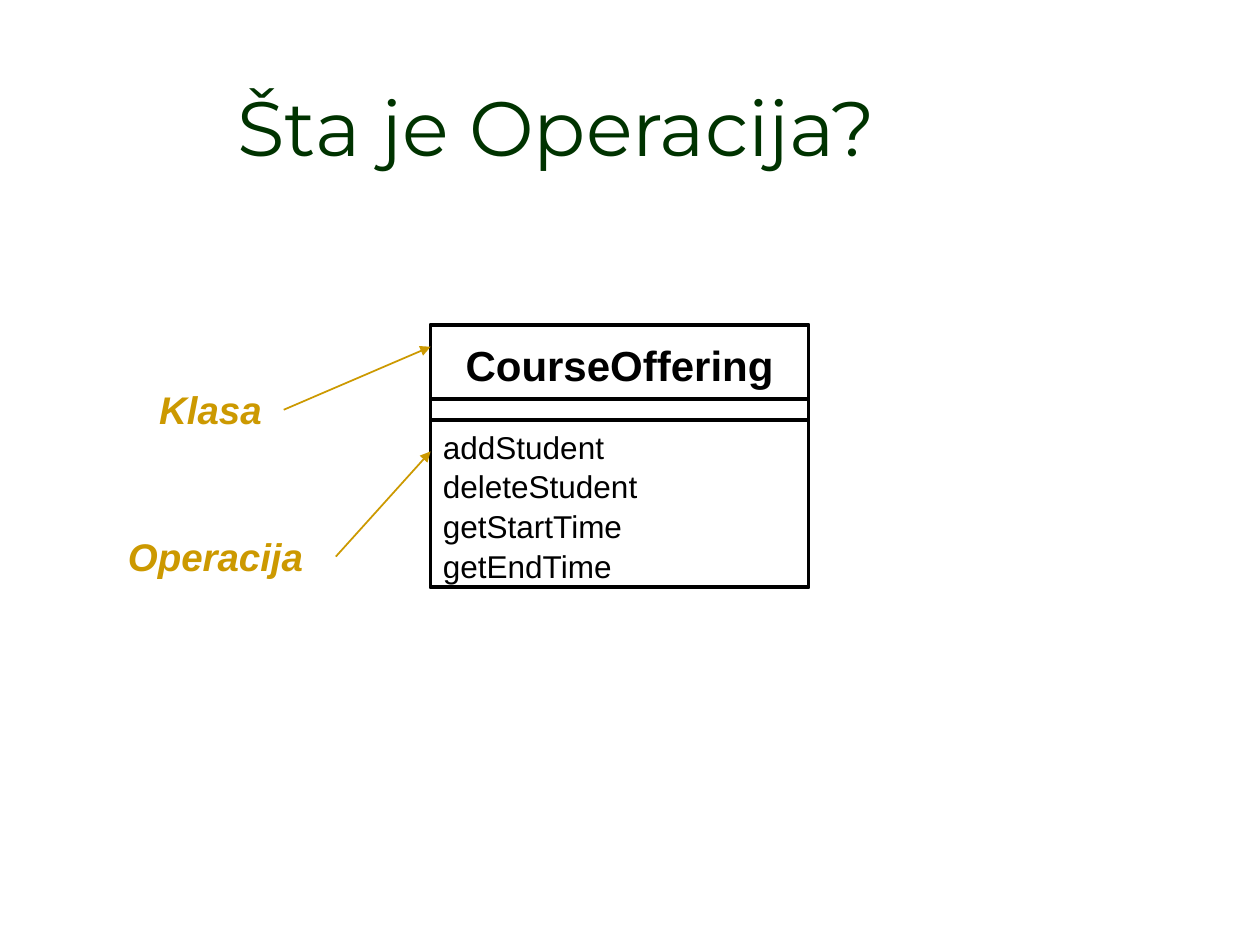
from lxml import etree
from pptx import Presentation
from pptx.dml.color import RGBColor
from pptx.enum.shapes import MSO_CONNECTOR, MSO_SHAPE
from pptx.enum.text import MSO_ANCHOR, PP_ALIGN
from pptx.oxml.ns import qn
from pptx.util import Cm, Pt

BLACK = RGBColor(0x00, 0x00, 0x00)
GREEN = RGBColor(0x00, 0x33, 0x00)
GOLD = RGBColor(0xCC, 0x99, 0x00)

# Content
TITLE = "Šta je Operacija?"
CLASS_NAME = "CourseOffering"
OPERATIONS = ["addStudent", "deleteStudent", "getStartTime", "getEndTime"]
# label, text box (left, top, width, height), arrow start, arrow height at the class
CALLOUTS = [
    ("Klasa", (2.96, 7.62, 2.96, 1.19), (5.72, 8.26), 6.99),
    ("Operacija", (2.33, 10.58, 4.66, 1.19), (6.77, 11.22), 9.1),
]

# Class box, in cm
LEFT, TOP, WIDTH, HEIGHT = 8.68, 6.55, 7.62, 5.29
DIVIDERS = [8.04, 8.46]

prs = Presentation()
prs.slide_width, prs.slide_height = Cm(25.4), Cm(19.05)
s = prs.slides.add_slide(prs.slide_layouts[6])


def add_text(box, lines, size, color, font="Arial", bold=False, italic=False,
             align=PP_ALIGN.LEFT, anchor=MSO_ANCHOR.TOP, spacing=1.05, inset=True):
    tf = s.shapes.add_textbox(*map(Cm, box)).text_frame
    tf.word_wrap = True
    tf.vertical_anchor = anchor
    if not inset:
        tf.margin_left = tf.margin_right = tf.margin_top = tf.margin_bottom = 0
    for i, line in enumerate(lines):
        p = tf.add_paragraph() if i else tf.paragraphs[0]
        p.alignment = align
        p.line_spacing = spacing
        r = p.add_run()
        r.text = line
        r.font.name, r.font.size = font, Pt(size)
        r.font.bold, r.font.italic = bold, italic
        r.font.color.rgb = color


def add_line(start, end, color, width, arrow=False):
    line = s.shapes.add_connector(MSO_CONNECTOR.STRAIGHT, *map(Cm, start + end))
    line.line.color.rgb = color
    line.line.width = Pt(width)
    if arrow:
        etree.SubElement(line.line._get_or_add_ln(), qn("a:tailEnd"), type="triangle")
    etree.SubElement(line._element.spPr, qn("a:effectLst"))


# Class box with its three compartments
sp = s.shapes.add_shape(MSO_SHAPE.RECTANGLE, Cm(LEFT), Cm(TOP), Cm(WIDTH), Cm(HEIGHT))
sp.shadow.inherit = False
sp.fill.background()
sp.line.color.rgb = BLACK
sp.line.width = Pt(2.25)
add_text((LEFT, 6.8, WIDTH, 1.02), [CLASS_NAME], 24, BLACK, bold=True,
         align=PP_ALIGN.CENTER, inset=False)
for y in DIVIDERS:
    add_line((LEFT, y), (LEFT + WIDTH, y), BLACK, 2.25)
add_text((LEFT, DIVIDERS[-1], 7.42, 4.06), OPERATIONS, 18, BLACK)

# Labels with arrows to the class box
for label, box, start, end_y in CALLOUTS:
    add_text(box, [label], 22, GOLD, bold=True, italic=True)
    add_line(start, (LEFT, end_y), GOLD, 1, arrow=True)

# Title
add_text((0.85, 1.48, 20.74, 2.12), [TITLE], 44, GREEN, font="Montserrat",
         align=PP_ALIGN.CENTER, anchor=MSO_ANCHOR.BOTTOM, spacing=1.0)

prs.save("out.pptx")
